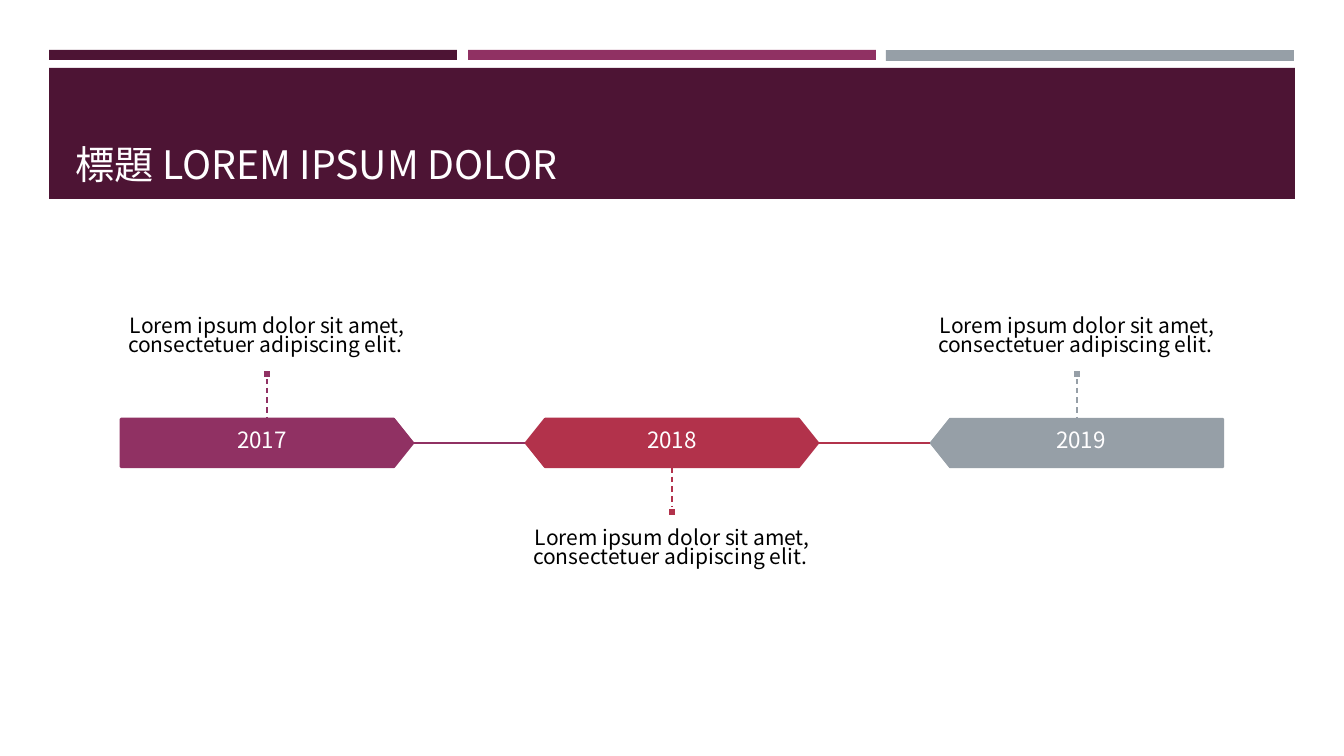
from dataclasses import dataclass

import pptx
import pptx.dml.color
import pptx.enum.dml
import pptx.enum.shapes
import pptx.enum.text
import pptx.oxml.ns
import pptx.oxml.xmlchemy
import pptx.util
from lxml import etree

EMU_PER_PIXEL = 914400 / 100.8
FONT = "Noto Sans CJK TC"
PLUM, PURPLE, RED, GREY, WHITE, BLACK = (
    "4D1434", "903163", "B2324B", "969FA7", "FFFEFF", "000000")
CAPTION = "Lorem ipsum dolor sit amet, consectetuer adipiscing elit. "
PRESET = pptx.enum.shapes.MSO_SHAPE
ANCHOR = pptx.enum.text.MSO_ANCHOR
ALIGN = pptx.enum.text.PP_ALIGN

STAGE_LEFT, STAGE_TOP, STAGE_WIDTH, STAGE_HEIGHT = 121, 419, 292, 48
STAGE_PITCH = 405
CAPTION_HEIGHT, STEM_LENGTH, MARKER = 130, 41, 8


@dataclass(frozen=True)
class Box:
    left: int
    top: int
    width: int
    height: int


@dataclass(frozen=True)
class Stage:
    year: str
    color: str
    preset: PRESET
    label_left: int
    label_width: int
    caption_above: bool
    rotation: int = 0


STAGES = [
    Stage("2017", PURPLE, PRESET.PENTAGON, 121, 282, True),
    Stage("2018", RED, PRESET.HEXAGON, 557, 230, False),
    Stage("2019", GREY, PRESET.PENTAGON, 940, 282, True, 180),
]
BARS = [
    (Box(49, 50, 408, 10), PLUM),
    (Box(468, 50, 408, 10), PURPLE),
    (Box(886, 50, 408, 11), GREY),
    (Box(49, 68, 1246, 131), PLUM),
]


def px(value: float) -> int:
    return round(value * EMU_PER_PIXEL)


def rgb(color: str) -> pptx.dml.color.RGBColor:
    return pptx.dml.color.RGBColor.from_string(color)


def place(box: Box) -> tuple[int, int, int, int]:
    return px(box.left), px(box.top), px(box.width), px(box.height)


def add_block(slide, preset: PRESET, box: Box, fill: str, line: str | None = None):
    shape = slide.shapes.add_shape(preset, *place(box))
    shape.shadow.inherit = False
    shape.fill.solid()
    shape.fill.fore_color.rgb = rgb(fill)
    if line:
        shape.line.color.rgb = rgb(line)
        shape.line.width = pptx.util.Pt(1.75)
    else:
        shape.line.fill.background()
    return shape


def add_text(slide, text: str, box: Box, size: int, color: str, anchor: ANCHOR,
             align: ALIGN, spacing: float, margins: tuple[int, int, int]) -> None:
    frame = slide.shapes.add_textbox(*place(box)).text_frame
    frame.word_wrap = True
    frame.vertical_anchor = anchor
    side, top, bottom = margins
    frame.margin_left = frame.margin_right = px(side)
    frame.margin_top, frame.margin_bottom = px(top), px(bottom)
    paragraph = frame.paragraphs[0]
    paragraph.text = text
    paragraph.alignment = align
    paragraph.line_spacing = spacing
    paragraph.font.size = pptx.util.Pt(size)
    paragraph.font.color.rgb = rgb(color)
    paragraph.font.name = FONT
    properties = paragraph._p.find(".//" + pptx.oxml.ns.qn("a:defRPr"))
    etree.SubElement(properties, pptx.oxml.ns.qn("a:ea"), typeface=FONT)


def add_line(slide, start: tuple[int, int], end: tuple[int, int], color: str,
             width: float, dashed: bool = False) -> None:
    connector = slide.shapes.add_connector(
        pptx.enum.shapes.MSO_CONNECTOR.STRAIGHT, *map(px, start + end))
    connector.line.color.rgb = rgb(color)
    connector.line.width = pptx.util.Pt(width)
    if dashed:
        connector.line.dash_style = pptx.enum.dml.MSO_LINE.DASH
    etree.SubElement(connector._element.spPr, pptx.oxml.ns.qn("a:effectLst"))


def add_stage(slide, stage: Stage, left: int) -> None:
    center = left + STAGE_WIDTH // 2
    bottom = STAGE_TOP + STAGE_HEIGHT
    arrow = add_block(slide, stage.preset, Box(left, STAGE_TOP, STAGE_WIDTH, STAGE_HEIGHT),
                      stage.color, stage.color)
    arrow.adjustments[0] = 0.4
    arrow.rotation = stage.rotation
    add_text(slide, stage.year,
             Box(stage.label_left, STAGE_TOP, stage.label_width, STAGE_HEIGHT),
             16, WHITE, ANCHOR.MIDDLE, ALIGN.CENTER, 0.74, (13, 0, 0))
    if stage.caption_above:
        stem_start, stem_end = STAGE_TOP - STEM_LENGTH, STAGE_TOP
        marker_top = stem_start - MARKER
        caption_top = marker_top + 1 - CAPTION_HEIGHT
        anchor = ANCHOR.BOTTOM
    else:
        stem_start, stem_end = bottom, bottom + STEM_LENGTH
        marker_top = stem_end
        caption_top = marker_top + MARKER
        anchor = ANCHOR.TOP
    add_text(slide, CAPTION, Box(center - 202, caption_top, STAGE_PITCH, CAPTION_HEIGHT),
             15, BLACK, anchor, ALIGN.CENTER, 0.74, (0, 15, 15))
    add_line(slide, (center, stem_start), (center, stem_end), stage.color, 1, True)
    add_block(slide, PRESET.RECTANGLE, Box(center - MARKER // 2, marker_top, MARKER, MARKER),
              stage.color, "FFFFFF")


presentation = pptx.Presentation()
presentation.slide_width = px(1344)
presentation.slide_height = px(756)
slide = presentation.slides.add_slide(presentation.slide_layouts[6])

for bar, bar_color in BARS:
    add_block(slide, PRESET.RECTANGLE, bar, bar_color)
add_text(slide, "標題 LOREM IPSUM DOLOR", Box(65, 78, 1216, 112), 28, WHITE,
         ANCHOR.BOTTOM, ALIGN.LEFT, 0.9, (10, 5, 2))

middle = STAGE_TOP + STAGE_HEIGHT // 2
for index, stage in enumerate(STAGES):
    stage_left = STAGE_LEFT + index * STAGE_PITCH
    if index < len(STAGES) - 1:
        add_line(slide, (stage_left + STAGE_WIDTH, middle),
                 (stage_left + STAGE_PITCH, middle), stage.color, 1.75)
    add_stage(slide, stage, stage_left)

presentation.save("out.pptx")
